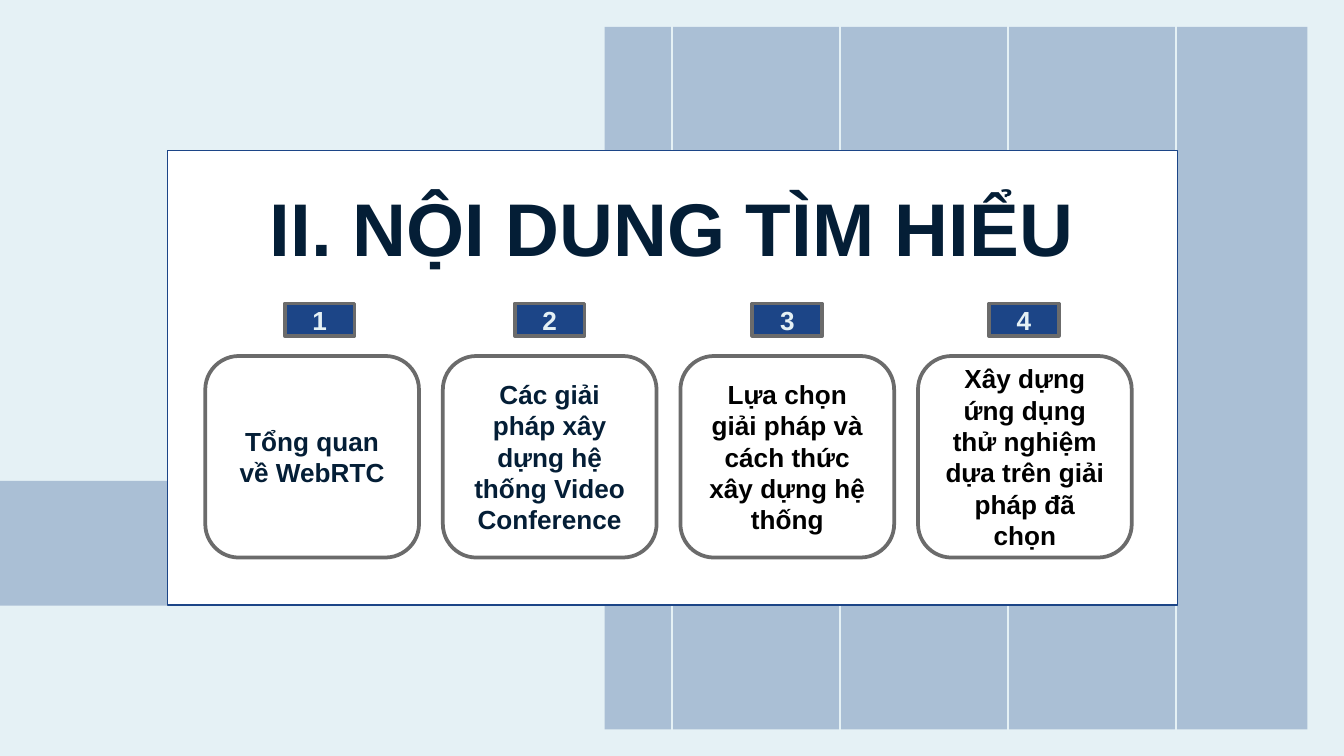
import pptx
import pptx.dml.color
import pptx.enum.shapes
import pptx.enum.text
import pptx.oxml
import pptx.oxml.ns
import pptx.util
from pptx.util import Cm

NAVY, BLUE, PALE, GREY = "041E36", "1C4587", "E5F1F5", "6B6B6B"
WHITE, BLACK = "FFFFFF", "000000"
WIDTH, HEIGHT = 25.4, 14.29
GRID_STEP = 3.175
BOX_LEFT, BOX_STEP = 3.88, 4.49
TOPICS = [
    ("Tổng quan về WebRTC", NAVY, 5.38),
    ("Các giải pháp xây dựng hệ thống Video Conference", NAVY, 9.73),
    ("Lựa chọn giải pháp và cách thức xây dựng hệ thống", BLACK, 14.22),
    ("Xây dựng ứng dụng thử nghiệm dựa trên giải pháp đã chọn", BLACK, 18.69),
]


def rgb(value):
    """Turn a hex string into a colour."""
    return pptx.dml.color.RGBColor.from_string(value)


def write(shape, text, size, color, anchor):
    """Put centred bold text into a shape."""
    tf = shape.text_frame
    tf.text = text
    tf.word_wrap = True
    tf.auto_size = pptx.enum.text.MSO_AUTO_SIZE.NONE
    tf.vertical_anchor = anchor
    p = tf.paragraphs[0]
    p.alignment = pptx.enum.text.PP_ALIGN.CENTER
    font = p.runs[0].font
    font.name, font.size, font.bold = "Arial", pptx.util.Pt(size), True
    font.color.rgb = rgb(color)


def add_box(s, kind, left, top, width, height, fill, line=None, weight=0.75):
    """Add a filled shape with an optional outline."""
    sp = s.shapes.add_shape(kind, Cm(left), Cm(top), Cm(width), Cm(height))
    sp.shadow.inherit = False
    sp.fill.solid()
    sp.fill.fore_color.rgb = rgb(fill)
    if line:
        sp.line.color.rgb = rgb(line)
        sp.line.width = pptx.util.Pt(weight)
    else:
        sp.line.fill.background()
    return sp


def add_tint(s, left, top, width, height):
    """Add a translucent blue block."""
    rect = pptx.enum.shapes.MSO_SHAPE.RECTANGLE
    sp = add_box(s, rect, left, top, width, height, BLUE)
    color = sp._element.spPr.find(".//" + pptx.oxml.ns.qn("a:srgbClr"))
    alpha = pptx.oxml.parse_xml(
        "<a:alpha %s val='29000'/>" % pptx.oxml.ns.nsdecls("a"))
    color.append(alpha)


def add_grid_line(s, x):
    """Add a thin vertical line over the full height."""
    straight = pptx.enum.shapes.MSO_CONNECTOR.STRAIGHT
    line = s.shapes.add_connector(straight, Cm(x), 0, Cm(x), Cm(HEIGHT))
    line.line.color.rgb = rgb(PALE)
    line.line.width = pptx.util.Pt(0.75)
    effects = "<a:effectLst %s/>" % pptx.oxml.ns.nsdecls("a")
    line._element.spPr.append(pptx.oxml.parse_xml(effects))


def place_title(s, text):
    """Format the title and bring it in front of the card."""
    title = s.shapes.title
    title.left, title.top = Cm(4.67), Cm(3.81)
    title.width, title.height = Cm(16.05), Cm(1.57)
    write(title, text, 40, NAVY, pptx.enum.text.MSO_ANCHOR.BOTTOM)
    tf = title.text_frame
    tf.margin_left = tf.margin_right = Cm(0.25)
    tf.margin_top = tf.margin_bottom = Cm(0.25)
    s.shapes._spTree.append(title._element)


def add_topics(s):
    """Add the topic boxes and their numbered badges."""
    shapes = pptx.enum.shapes.MSO_SHAPE
    middle = pptx.enum.text.MSO_ANCHOR.MIDDLE
    for i, (text, color, badge_left) in enumerate(TOPICS):
        box = add_box(s, shapes.ROUNDED_RECTANGLE, BOX_LEFT + i * BOX_STEP,
                      6.73, 4.04, 3.81, WHITE, GREY, 2)
        write(box, text, 14, color, middle)
        badge = add_box(s, shapes.RECTANGLE, badge_left, 5.74, 1.32, 0.61,
                        BLUE, GREY, 2)
        write(badge, str(i + 1), 14, PALE, middle)


def main():
    """Build and save the slide."""
    prs = pptx.Presentation()
    prs.slide_width, prs.slide_height = Cm(WIDTH), Cm(HEIGHT)
    s = prs.slides.add_slide(prs.slide_layouts[5])
    s.background.fill.solid()
    s.background.fill.fore_color.rgb = rgb(PALE)
    add_tint(s, 0, 9.09, 4.22, 2.36)
    add_tint(s, 11.43, 0.51, 13.28, 13.28)
    for i in range(1, 8):
        add_grid_line(s, i * GRID_STEP)
    add_box(s, pptx.enum.shapes.MSO_SHAPE.RECTANGLE, 3.17, 2.84, 19.08, 8.6,
            WHITE, BLUE)
    place_title(s, "II. NỘI DUNG TÌM HIỂU")
    add_topics(s)
    prs.save("out.pptx")


if __name__ == "__main__":
    main()
